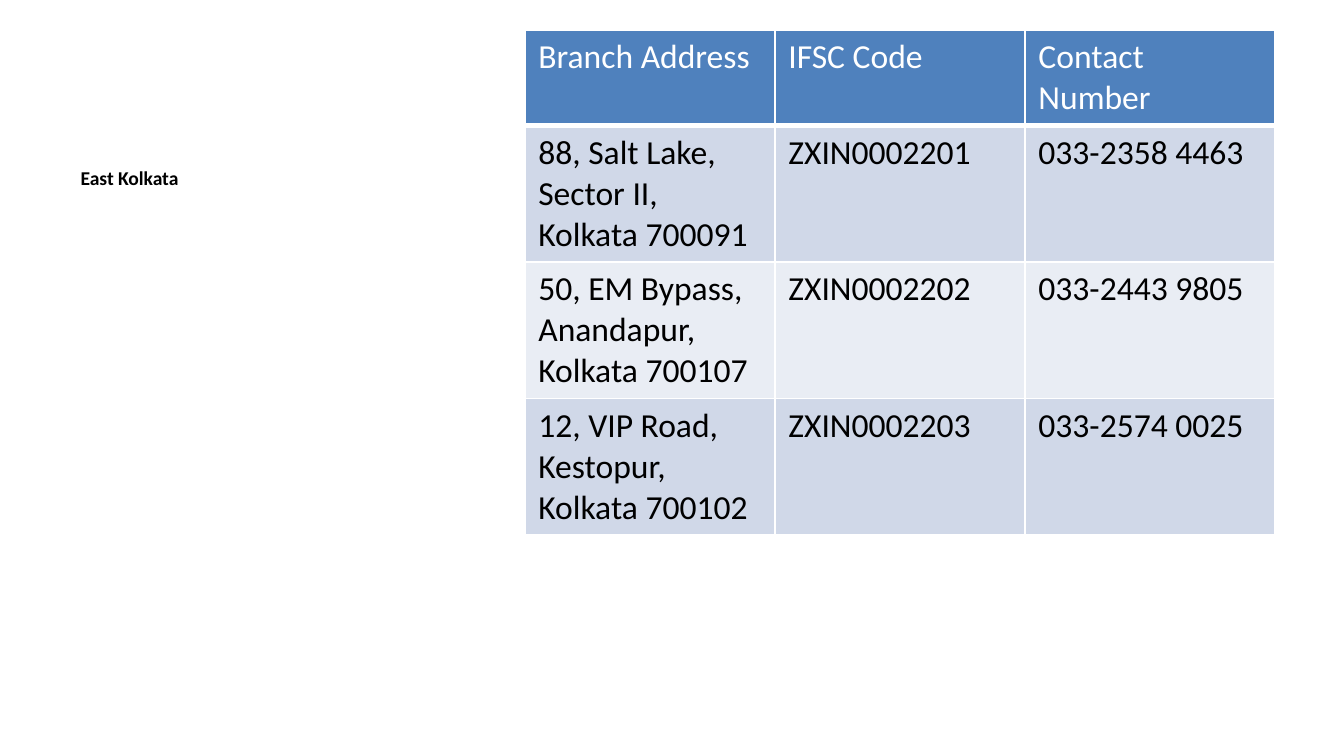
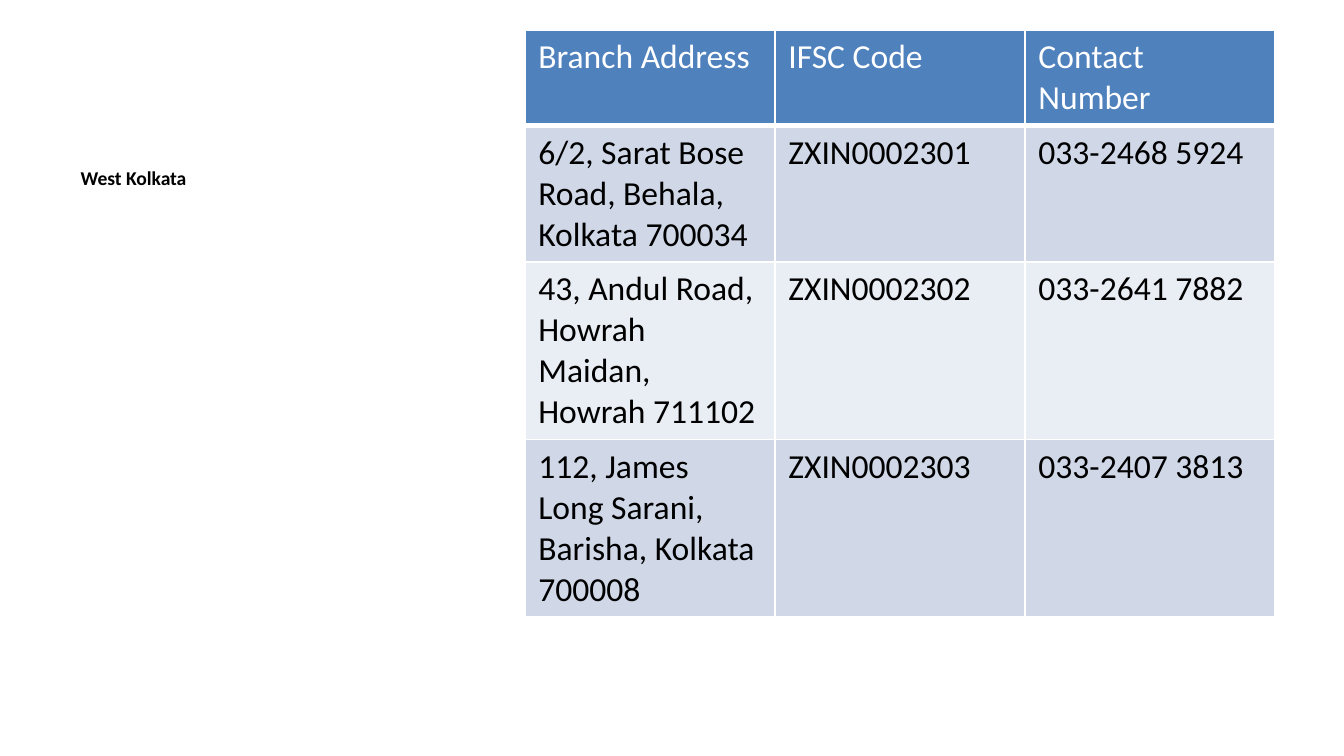
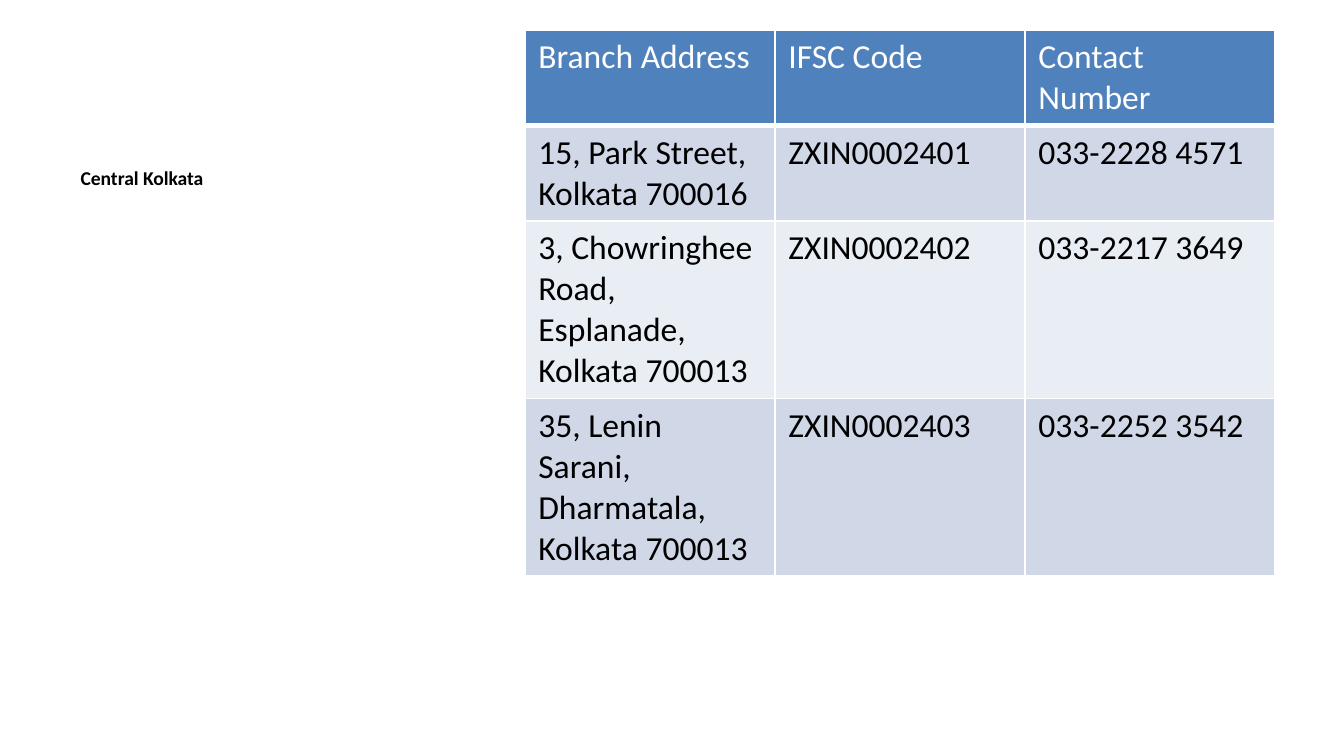
"""Build the three Kolkata branch slides."""
from lxml import etree
from pptx import Presentation
from pptx.dml.color import RGBColor
from pptx.enum import text
from pptx.oxml import ns
from pptx.util import Cm, Pt

WHITE = RGBColor(0xFF, 0xFF, 0xFF)
BLACK = RGBColor(0x00, 0x00, 0x00)
BLUE = RGBColor(0x4F, 0x81, 0xBD)
BANDS = RGBColor(0xD0, 0xD8, 0xE8), RGBColor(0xE9, 0xED, 0xF4)
FONT = "Calibri"
EDGES = {"lnL": 1, "lnR": 1, "lnT": 1, "lnB": 3}

HEAD = ("Branch Address", "IFSC Code", "Contact Number")
ZONES = {
    "East Kolkata": [
        ("88, Salt Lake, Sector II, Kolkata 700091", "ZXIN0002201", "033-2358 4463"),
        ("50, EM Bypass, Anandapur, Kolkata 700107", "ZXIN0002202", "033-2443 9805"),
        ("12, VIP Road, Kestopur, Kolkata 700102", "ZXIN0002203", "033-2574 0025"),
    ],
    "West Kolkata": [
        ("6/2, Sarat Bose Road, Behala, Kolkata 700034", "ZXIN0002301", "033-2468 5924"),
        ("43, Andul Road, Howrah Maidan, Howrah 711102", "ZXIN0002302", "033-2641 7882"),
        ("112, James Long Sarani, Barisha, Kolkata 700008", "ZXIN0002303", "033-2407 3813"),
    ],
    "Central Kolkata": [
        ("15, Park Street, Kolkata 700016", "ZXIN0002401", "033-2228 4571"),
        ("3, Chowringhee Road, Esplanade, Kolkata 700013", "ZXIN0002402", "033-2217 3649"),
        ("35, Lenin Sarani, Dharmatala, Kolkata 700013", "ZXIN0002403", "033-2252 3542"),
    ],
}


def style(para, size, color, bold):
    font = para.font
    font.name, font.size, font.bold = FONT, Pt(size), bold
    font.color.rgb = color


def edge(cell):
    props = cell._tc.get_or_add_tcPr()
    for tag, width in EDGES.items():
        line = etree.SubElement(props, ns.qn("a:" + tag), w=str(Pt(width)))
        fill = etree.SubElement(line, ns.qn("a:solidFill"))
        etree.SubElement(fill, ns.qn("a:srgbClr"), val=str(WHITE))


def add_zone(slide, name):
    for item in list(slide.placeholders):
        if item.placeholder_format.idx != 2:
            item._element.getparent().remove(item._element)
    body = slide.placeholders[2]
    body.left, body.top = Cm(1.27), Cm(3)
    body.width, body.height = Cm(8.36), Cm(9.78)
    frame = body.text_frame
    frame.text = name
    frame.vertical_anchor = text.MSO_ANCHOR.TOP
    para = frame.paragraphs[0]
    para.space_before = Pt(0)
    style(para, 10.5, BLACK, True)


def add_grid(slide, rows):
    rows = [HEAD, *rows]
    high = Cm(12.17)
    frame = slide.shapes.add_table(
        len(rows), len(HEAD), Cm(9.92), Cm(0.57), Cm(14.18), high)
    grid = frame.table
    for r, row in enumerate(rows):
        grid.rows[r].height = 0
        for c, word in enumerate(row):
            cell = grid.cell(r, c)
            cell.text = word
            if r == 0:
                edge(cell)
            cell.fill.solid()
            cell.fill.fore_color.rgb = BANDS[(r - 1) % 2] if r else BLUE
            style(cell.text_frame.paragraphs[0], 18, BLACK if r else WHITE, False)
    frame.height = high


def main():
    deck = Presentation()
    deck.slide_width, deck.slide_height = Cm(25.4), Cm(14.29)
    for name, rows in ZONES.items():
        slide = deck.slides.add_slide(deck.slide_layouts[7])
        add_zone(slide, name)
        add_grid(slide, rows)
    deck.save("out.pptx")


if __name__ == "__main__":
    main()
